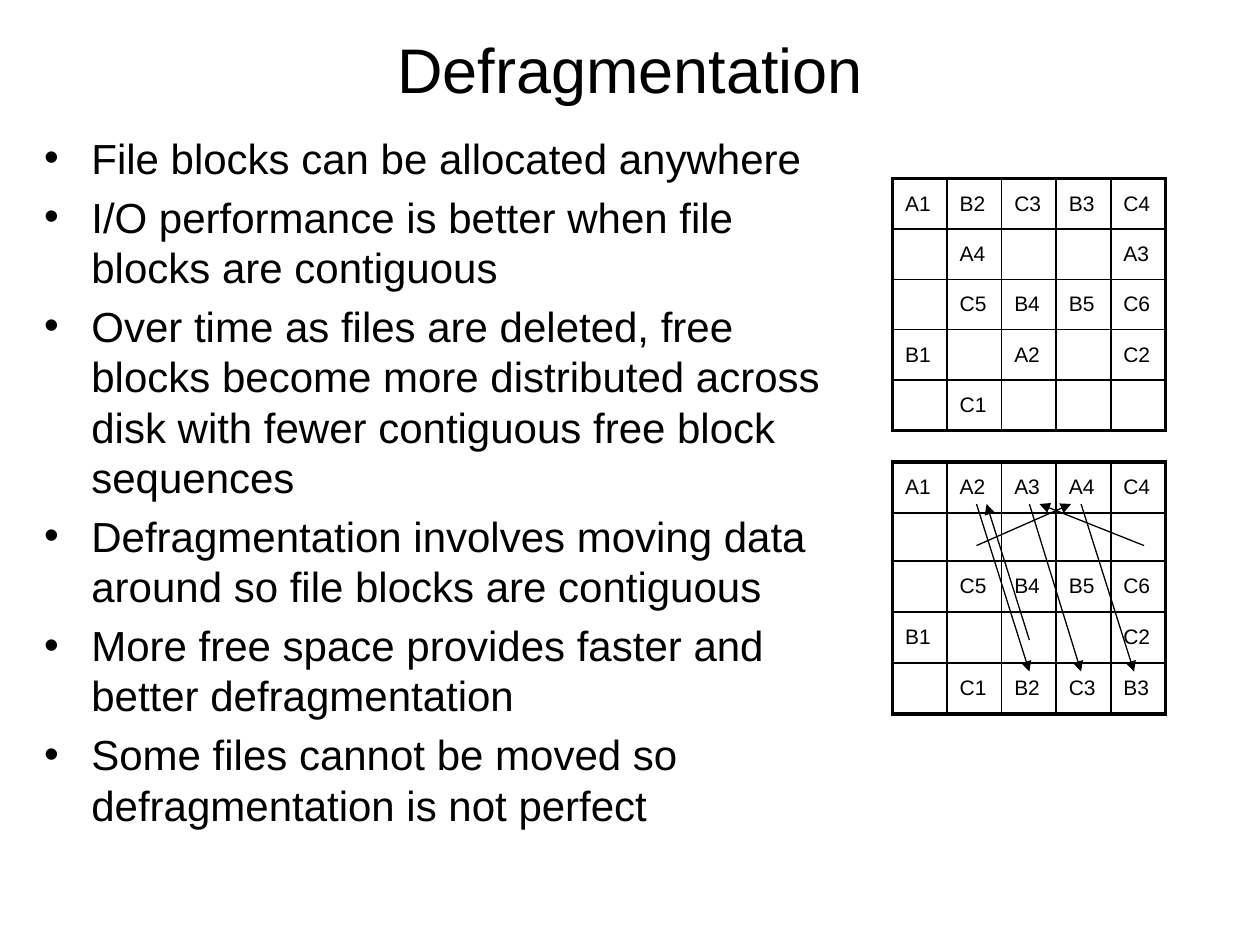
from dataclasses import dataclass

from lxml.etree import SubElement
from pptx import Presentation
from pptx.dml.color import RGBColor
from pptx.enum.shapes import MSO_CONNECTOR as Connector
from pptx.enum.text import MSO_ANCHOR as Anchor, MSO_AUTO_SIZE as AutoSize, PP_ALIGN as Align
from pptx.oxml.ns import qn
from pptx.util import Inches, Pt


@dataclass(frozen=True)
class Theme:
    font: str = "Arial"
    ink: str = "000000"
    title_size: int = 36
    body_size: int = 24
    cell_size: int = 12
    space_before: float = 0.2
    outer_border: float = 2.25
    inner_border: float = 1
    arrow_width: float = 0.75


class SlideBuilder:
    def __init__(self, presentation, theme):
        self.theme = theme
        self.slide = presentation.slides.add_slide(presentation.slide_layouts[1])

    def format_runs(self, paragraph, size):
        for run in paragraph.runs:
            run.font.name = self.theme.font
            run.font.size = Pt(size)
            run.font.color.rgb = RGBColor.from_string(self.theme.ink)

    def fill_placeholder(self, shape, box, text, size, anchor):
        shape.left, shape.top, shape.width, shape.height = map(Inches, box)
        text_frame = shape.text_frame
        text_frame.text = text
        text_frame.auto_size = AutoSize.NONE
        text_frame.vertical_anchor = anchor
        for paragraph in text_frame.paragraphs:
            self.format_runs(paragraph, size)
        return text_frame

    def add_title(self, text, box):
        text_frame = self.fill_placeholder(
            self.slide.shapes.title, box, text, self.theme.title_size, Anchor.MIDDLE)
        text_frame.paragraphs[0].alignment = Align.CENTER

    def add_bullets(self, items, box):
        text_frame = self.fill_placeholder(
            self.slide.placeholders[1], box, "\n".join(items), self.theme.body_size, Anchor.TOP)
        for paragraph in text_frame.paragraphs:
            paragraph.space_before = Pt(self.theme.body_size * self.theme.space_before)

    def add_border(self, cell, side, width):
        line = SubElement(cell._tc.get_or_add_tcPr(), qn(f"a:ln{side}"), w=str(Pt(width)))
        fill = SubElement(line, qn("a:solidFill"))
        SubElement(fill, qn("a:srgbClr"), val=self.theme.ink)

    def add_block_table(self, rows, left, top, width, heights):
        row_count, column_count = len(rows), len(rows[0])
        table = self.slide.shapes.add_table(
            row_count, column_count, Inches(left), Inches(top),
            Inches(width), Inches(sum(heights))).table
        table.first_row = table.horz_banding = False
        for column in table.columns:
            column.width = Inches(width / column_count)
        for row, height in zip(table.rows, heights):
            row.height = Inches(height)
        for row_index, row in enumerate(rows):
            for column_index, text in enumerate(row):
                cell = table.cell(row_index, column_index)
                outer_sides = {
                    "L": column_index == 0,
                    "R": column_index == column_count - 1,
                    "T": row_index == 0,
                    "B": row_index == row_count - 1,
                }
                for side, is_outer in outer_sides.items():
                    self.add_border(
                        cell, side,
                        self.theme.outer_border if is_outer else self.theme.inner_border)
                cell.fill.background()
                cell.vertical_anchor = Anchor.MIDDLE
                cell.margin_top = cell.margin_bottom = Inches(0.03)
                cell.text_frame.text = text
                paragraph = cell.text_frame.paragraphs[0]
                paragraph.space_before = Pt(self.theme.cell_size * self.theme.space_before)
                self.format_runs(paragraph, self.theme.cell_size)

    def add_arrow(self, start, end):
        arrow = self.slide.shapes.add_connector(
            Connector.STRAIGHT, *map(Inches, (*start, *end)))
        arrow.line.color.rgb = RGBColor.from_string(self.theme.ink)
        arrow.line.width = Pt(self.theme.arrow_width)
        SubElement(arrow.line._get_or_add_ln(), qn("a:tailEnd"), type="triangle")
        SubElement(arrow._element.spPr, qn("a:effectLst"))


BULLETS = [
    "File blocks can be allocated anywhere",
    "I/O performance is better when file blocks are contiguous",
    "Over time as files are deleted, free blocks become more distributed across disk "
    "with fewer contiguous free block sequences",
    "Defragmentation involves moving data around so file blocks are contiguous",
    "More free space provides faster and better defragmentation",
    "Some files cannot be moved so defragmentation is not perfect",
]

FRAGMENTED = [
    ["A1", "B2", "C3", "B3", "C4"],
    ["", "A4", "", "", "A3"],
    ["", "C5", "B4", "B5", "C6"],
    ["B1", "", "A2", "", "C2"],
    ["", "C1", "", "", ""],
]

DEFRAGMENTED = [
    ["A1", "A2", "A3", "A4", "C4"],
    ["", "", "", "", ""],
    ["", "C5", "B4", "B5", "C6"],
    ["B1", "", "", "", "C2"],
    ["", "C1", "B2", "C3", "B3"],
]

BLOCK_MOVES = [
    ((7.75, 4), (8.17, 5.33)),
    ((8.17, 4), (8.58, 5.33)),
    ((8.58, 4), (9, 5.33)),
    ((8.17, 5.08), (7.83, 4)),
    ((9.08, 4.33), (8.25, 4)),
    ((7.75, 4.33), (8.5, 4)),
]

TABLE_LEFT, TABLE_WIDTH, TABLE_HEIGHT = 85 / 12, 26 / 12, 2
EMPTY_ROW = 0.38
FULL_ROW = (TABLE_HEIGHT - EMPTY_ROW) / 4


def main():
    presentation = Presentation()
    presentation.slide_width, presentation.slide_height = Inches(10), Inches(7.5)
    builder = SlideBuilder(presentation, Theme())
    builder.add_title("Defragmentation", (0.5, 0.17, 9, 0.75))
    builder.add_bullets(BULLETS, (0.25, 1, 6.58, 5.83))
    builder.add_block_table(
        FRAGMENTED, TABLE_LEFT, 17 / 12, TABLE_WIDTH, [TABLE_HEIGHT / 5] * 5)
    builder.add_block_table(
        DEFRAGMENTED, TABLE_LEFT, 44 / 12, TABLE_WIDTH,
        [FULL_ROW, EMPTY_ROW, FULL_ROW, FULL_ROW, FULL_ROW])
    for start, end in BLOCK_MOVES:
        builder.add_arrow(start, end)
    presentation.save("out.pptx")


if __name__ == "__main__":
    main()
